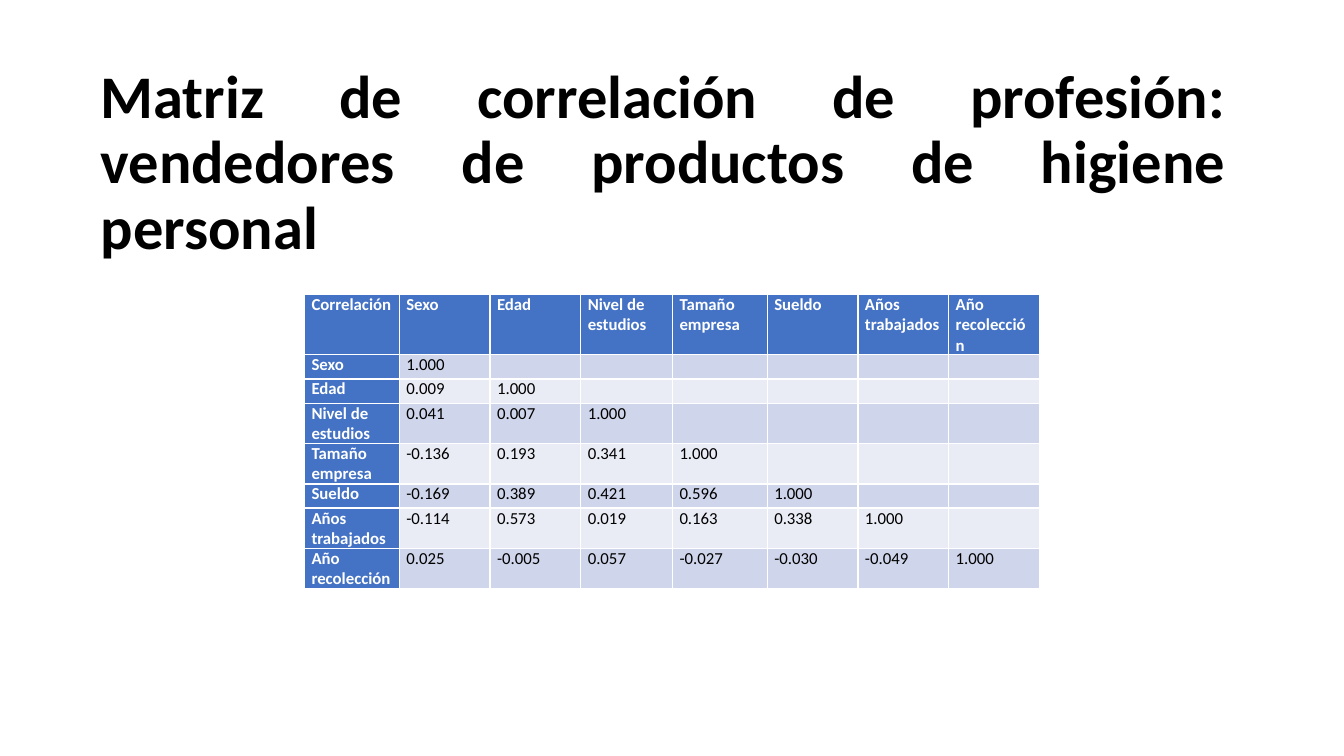
from pptx import Presentation
from pptx.dml.color import RGBColor
from pptx.enum import text
from pptx.oxml.ns import qn
from pptx.util import Inches, Pt
from lxml import etree

COLORS = {"head": "4472C4", "odd": "CFD5EA", "even": "E9EBF5",
          "white": "FFFFFF", "black": "000000"}
FONT = "Calibri"
TITLE = "Matriz de correlación de profesión: vendedores de productos de higiene personal"
VARIABLES = ["Sexo", "Edad", "Nivel de estudios", "Tamaño empresa", "Sueldo",
             "Años trabajados", "Año recolección"]
CORRELATIONS = [
    ["1.000"],
    ["0.009", "1.000"],
    ["0.041", "0.007", "1.000"],
    ["-0.136", "0.193", "0.341", "1.000"],
    ["-0.169", "0.389", "0.421", "0.596", "1.000"],
    ["-0.114", "0.573", "0.019", "0.163", "0.338", "1.000"],
    ["0.025", "-0.005", "0.057", "-0.027", "-0.030", "-0.049", "1.000"],
]
COL_WIDTHS = [0.94, 0.9, 0.9, 0.91, 0.94, 0.9, 0.9, 0.9]
ROW_HEIGHTS = [0.22] + [0.24] * 6 + [0.22]


def rgb(name):
    """Return the named colour."""
    return RGBColor.from_string(COLORS[name])


def style_font(p, size, color, bold):
    """Set the font of a paragraph."""
    p.font.name = FONT
    p.font.size = Pt(size)
    p.font.bold = bold
    p.font.color.rgb = rgb(color)


def add_title(s, words):
    """Add the justified title, resting on the bottom of its box."""
    sp = s.shapes.add_textbox(Inches(0.9), Inches(1.01), Inches(11.36), Inches(1.64))
    tf = sp.text_frame
    tf.word_wrap = True
    tf.vertical_anchor = text.MSO_ANCHOR.BOTTOM
    p = tf.paragraphs[0]
    p.text = words
    p.alignment = text.PP_ALIGN.JUSTIFY
    p.line_spacing = 0.9
    style_font(p, 43.2, "black", True)


def fill_cell(cell, words, fill, color, bold):
    """Write one table cell and colour it."""
    cell.fill.solid()
    cell.fill.fore_color.rgb = rgb(fill)
    cell.margin_left = cell.margin_right = Inches(0.07)
    cell.margin_top = cell.margin_bottom = 0
    p = cell.text_frame.paragraphs[0]
    style_font(p, 12, color, bold)
    if words:
        p.text = words
    else:
        etree.SubElement(p._p, qn("a:endParaRPr"), sz="1200")


def add_matrix(s):
    """Add the lower triangular correlation table."""
    rows = [["Correlación"] + VARIABLES]
    for label, values in zip(VARIABLES, CORRELATIONS):
        blanks = [""] * (len(VARIABLES) - len(values))
        rows.append([label] + values + blanks)
    table = s.shapes.add_table(len(rows), len(COL_WIDTHS), Inches(3.02), Inches(2.92),
                               Inches(sum(COL_WIDTHS)), Inches(sum(ROW_HEIGHTS))).table
    table.first_col = True
    for column, width in zip(table.columns, COL_WIDTHS):
        column.width = Inches(width)
    for i, row in enumerate(rows):
        table.rows[i].height = Inches(ROW_HEIGHTS[i])
        band = "odd" if i % 2 else "even"
        for j, words in enumerate(row):
            head = i == 0 or j == 0
            fill_cell(table.cell(i, j), words, "head" if head else band,
                      "white" if head else "black", head)


def main():
    """Build and save the slide."""
    prs = Presentation()
    prs.slide_width, prs.slide_height = Inches(13.33), Inches(7.5)
    s = prs.slides.add_slide(prs.slide_layouts[6])
    add_title(s, TITLE)
    add_matrix(s)
    prs.save("out.pptx")


if __name__ == "__main__":
    main()
